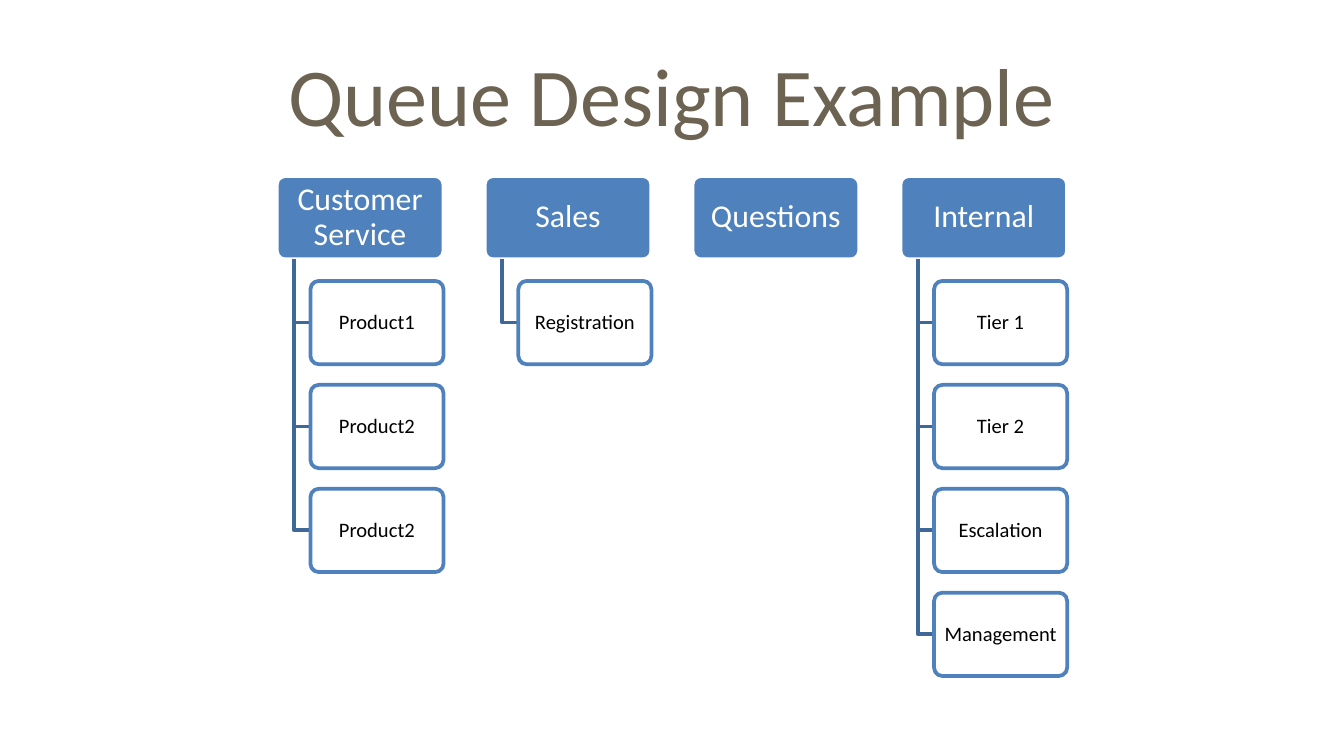
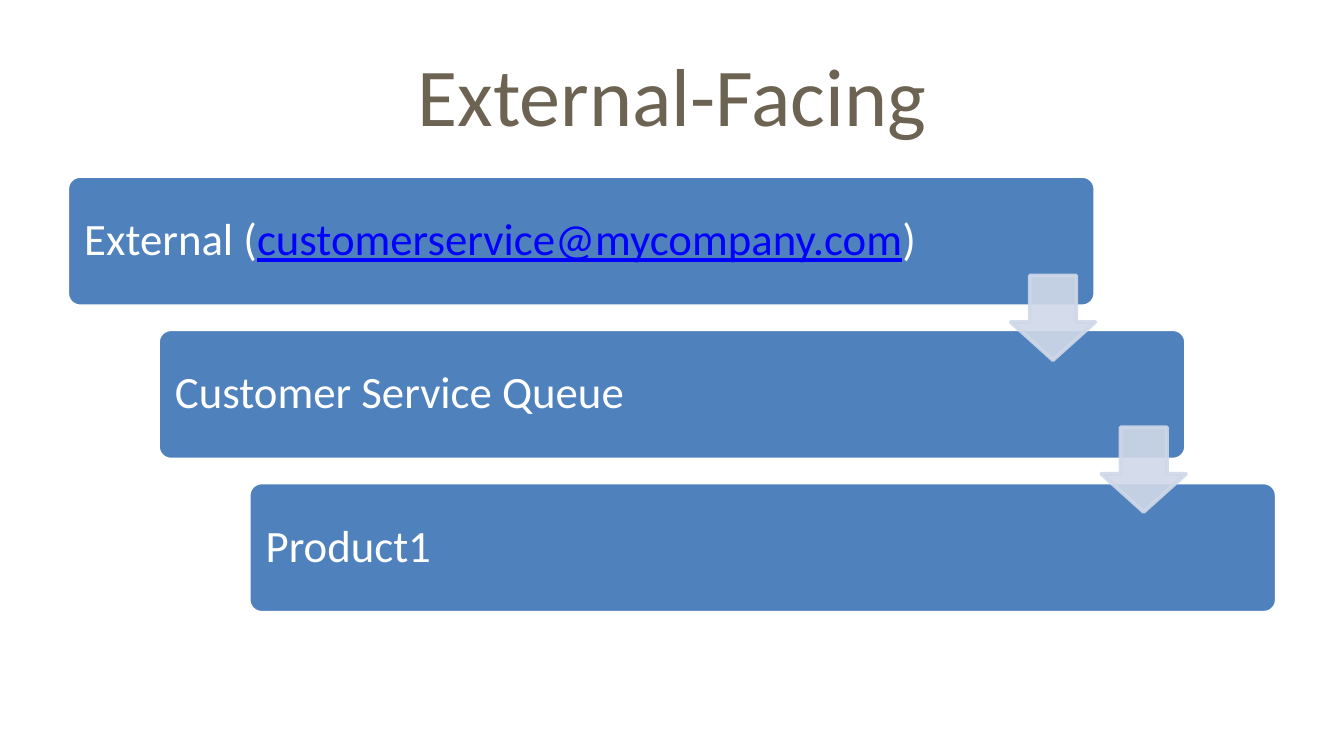
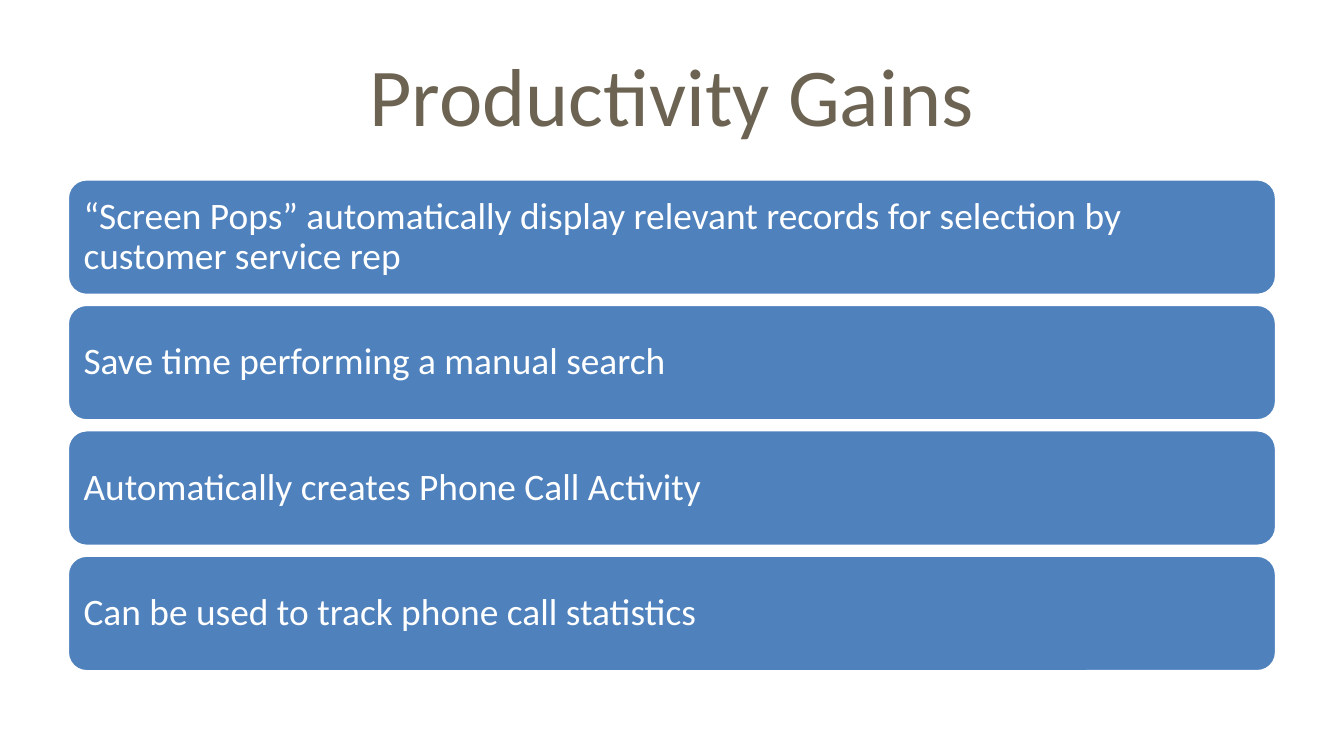
from lxml import etree
from pptx import Presentation, util as u
from pptx.dml.color import RGBColor
from pptx.enum import shapes, text
from pptx.oxml.ns import qn

BLUE, DARK, PALE = "4F81BD", "3F6797", "D0D8E8"
WHITE, BLACK, BROWN, LINK = "FFFFFF", "000000", "6C6352", "0000FF"
FONT = "Calibri"
LEFT, CENTER = text.PP_ALIGN.LEFT, text.PP_ALIGN.CENTER
ROUND, DOWN = shapes.MSO_SHAPE.ROUNDED_RECTANGLE, shapes.MSO_SHAPE.DOWN_ARROW


def color(code):
    return RGBColor.from_string(code)


class Deck:
    def __init__(self):
        self.prs = Presentation()
        self.prs.slide_width = u.Inches(10)
        self.prs.slide_height = u.Inches(10 * 9 / 16)
        self.slide = None

    def page(self, title):
        self.slide = self.prs.slides.add_slide(self.prs.slide_layouts[5])
        head = self.slide.shapes.title
        head.left, head.top = u.Inches(0.5), u.Inches(0.23)
        head.width, head.height = u.Inches(9), u.Inches(0.94)
        head.text_frame.text = title
        head.text_frame.vertical_anchor = text.MSO_ANCHOR.MIDDLE
        para = head.text_frame.paragraphs[0]
        para.alignment = CENTER
        self.style(para.runs[0], 44, BROWN)

    def style(self, run, size, ink):
        run.font.name = FONT
        run.font.size = u.Pt(size)
        run.font.color.rgb = color(ink)

    def shape(self, kind, box, adjust, fill, line, alpha=100):
        item = self.slide.shapes.add_shape(kind, *map(u.Inches, box))
        for i, value in enumerate(adjust):
            item.adjustments[i] = value
        item.shadow.inherit = False
        item.fill.solid()
        item.fill.fore_color.rgb = color(fill)
        self.stroke(item, line)
        if alpha < 100:
            props = item._element.spPr
            fills = [props.find(qn("a:solidFill"))]
            if fill == line:
                fills.append(props.find(qn("a:ln")).find(qn("a:solidFill")))
            for node in fills:
                etree.SubElement(node[0], qn("a:alpha"), val=str(alpha * 1000))
        return item

    def stroke(self, item, line):
        item.line.color.rgb = color(line)
        item.line.width = u.Pt(2)

    def card(self, box, parts, size, pad, align=LEFT, adjust=0.1,
             fill=BLUE, line=WHITE, ink=WHITE, alpha=100):
        frame = self.shape(ROUND, box, [adjust], fill, line, alpha).text_frame
        frame.word_wrap = True
        frame.vertical_anchor = text.MSO_ANCHOR.MIDDLE
        frame.margin_left = frame.margin_right = u.Inches(pad[0])
        frame.margin_top = frame.margin_bottom = u.Inches(pad[1])
        para = frame.paragraphs[0]
        para.alignment = align
        para.line_spacing = 0.9
        for i, part in enumerate(parts):
            run = para.add_run()
            run.text = part
            self.style(run, size, LINK if i % 2 else ink)
            if i % 2:
                run.font.underline = True

    def elbow(self, x, top, end, bottom):
        x, top, end, bottom = map(u.Inches, (x, top, end, bottom))
        build = self.slide.shapes.build_freeform(x, top)
        build.add_line_segments([(x, bottom), (end, bottom)], close=False)
        item = build.convert_to_shape()
        item.shadow.inherit = False
        item.fill.background()
        self.stroke(item, DARK)

    def arrow(self, x, y):
        self.shape(DOWN, (x, y, 0.63, 0.63), (0.55, 0.45), PALE, PALE, 90)


def queues(deck):
    deck.page("Queue Design Example")
    teams = [
        ("Customer Service", ["Product1", "Product2", "Product2"]),
        ("Sales", ["Registration"]),
        ("Questions", []),
        ("Internal", ["Tier 1", "Tier 2", "Escalation", "Management"]),
    ]
    top, high = 1.31, 0.62
    for col, (team, items) in enumerate(teams):
        x = 2.06 + col * 4.64 / 3
        deck.card((x, top, 1.24, high), [team], 17, (0.04, 0.02), CENTER)
        for row, name in enumerate(items):
            y = 2.09 + row * 2.32 / 3
            deck.elbow(x + 0.13, top + high, x + 0.25, y + high / 2)
            deck.card((x + 0.25, y, 0.99, high), [name], 11, (0.02, 0.02),
                      CENTER, fill=WHITE, line=BLUE, ink=BLACK, alpha=90)


def facing(deck):
    deck.page("External-Facing")
    steps = [
        ["External (", "customerservice@mycompany.com", ")"],
        ["Customer Service Queue"],
        ["Product1"],
    ]
    shift = 1.35 / 2
    for i, parts in enumerate(steps):
        box = (0.5 + i * shift, 1.31 + i * 1.14, 7.65, 0.97)
        deck.card(box, parts, 24, (0.1, 0.1))
    for i in range(len(steps) - 1):
        deck.arrow(7.52 + i * shift, 2.05 + i * 1.13)


def gains(deck):
    deck.page("Productivity Gains")
    points = [
        "“Screen Pops” automatically display relevant records for selection by customer service rep",
        "Save time performing a manual search",
        "Automatically creates Phone Call Activity",
        "Can be used to track phone call statistics",
    ]
    for i, point in enumerate(points):
        deck.card((0.5, 1.33 + i * 2.8 / 3, 9, 0.87), [point], 20,
                  (0.08, 0.08), adjust=1 / 6)


def main():
    deck = Deck()
    queues(deck)
    facing(deck)
    gains(deck)
    deck.prs.save("out.pptx")


if __name__ == "__main__":
    main()
